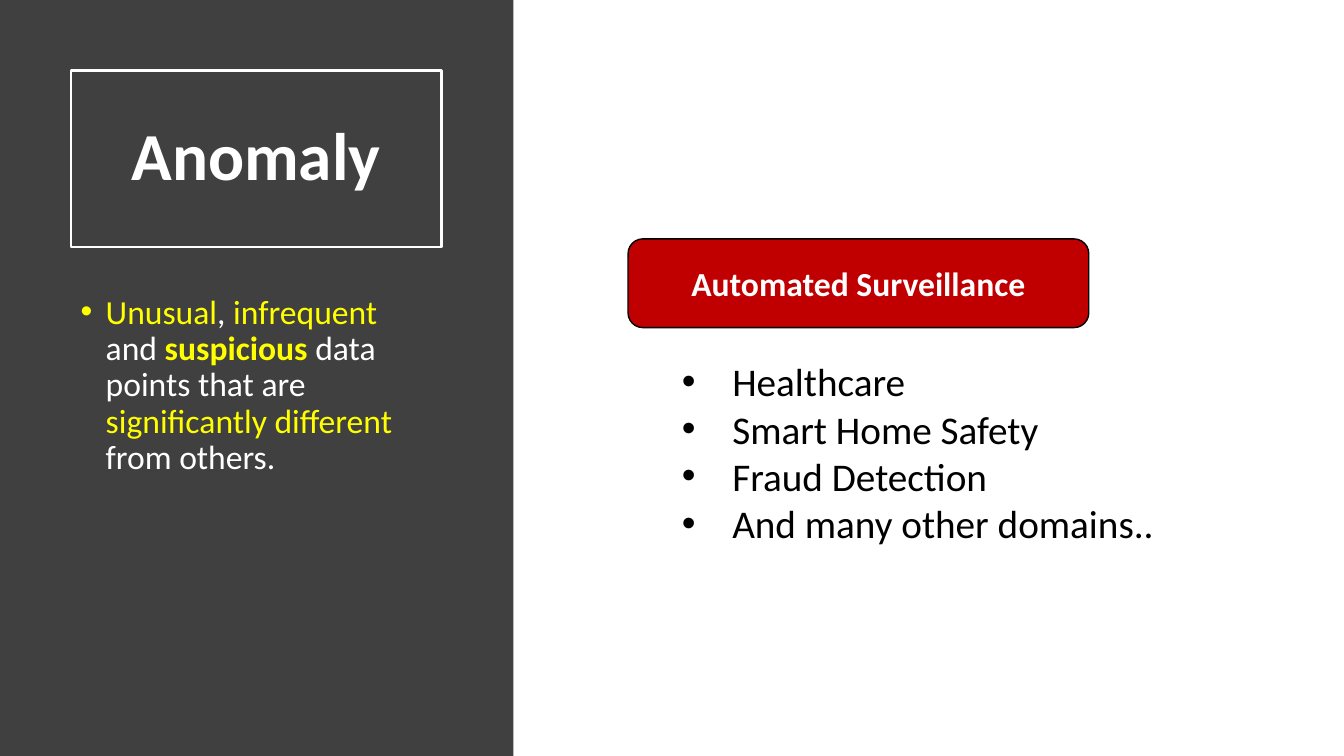
import pptx
import pptx.dml.color
import pptx.enum.shapes
import pptx.enum.text
import pptx.oxml.ns
import pptx.util
from lxml import etree

COLOURS = {"panel": "404040", "white": "FFFFFF", "yellow": "FFFF00",
           "red": "C00000", "black": "000000"}
ALIGN = pptx.enum.text.PP_ALIGN
ANCHOR = pptx.enum.text.MSO_ANCHOR
SHAPES = pptx.enum.shapes.MSO_SHAPE


def apply_format(target, values):
    """Set every attribute named in a dict of format values."""
    for name, value in values.items():
        setattr(target, name, value)


def colour(name):
    """Return a palette colour."""
    return pptx.dml.color.RGBColor.from_string(COLOURS[name])


class SlideBuilder:
    """Style and current slide, on a grid of 100 columns by 100 rows."""

    font_name = "Calibri"

    def __init__(self, presentation):
        """Add a title-only slide and measure its grid."""
        self.column = presentation.slide_width / 100
        self.row = presentation.slide_height / 100
        self.slide = presentation.slides.add_slide(presentation.slide_layouts[5])

    def box(self, left, top, width, height):
        """Convert grid columns and rows to lengths."""
        return (round(left * self.column), round(top * self.row),
                round(width * self.column), round(height * self.row))

    def outline(self, shape, line, width):
        """Draw the outline of a shape, or none."""
        if line:
            shape.line.color.rgb = colour(line)
            shape.line.width = pptx.util.Pt(width)
        else:
            shape.line.fill.background()

    def fill_text(self, shape, paragraphs, size, anchor, bold=False, indent=0, **layout):
        """Set paragraphs of (text, colour, bold) runs, bulleted if indented."""
        frame = shape.text_frame
        apply_format(frame, {"word_wrap": True, "vertical_anchor": anchor,
                             "auto_size": pptx.enum.text.MSO_AUTO_SIZE.NONE})
        for index, runs in enumerate(paragraphs):
            paragraph = frame.add_paragraph() if index else frame.paragraphs[0]
            apply_format(paragraph, layout)
            if indent:
                self.bullet(paragraph, indent)
            for text, tint, *strong in runs:
                run = paragraph.add_run()
                run.text = text
                apply_format(run.font, {"name": self.font_name, "bold": bold or bool(strong),
                                        "size": pptx.util.Pt(size)})
                run.font.color.rgb = colour(tint)

    def bullet(self, paragraph, indent):
        """Give a paragraph a hanging bullet."""
        properties = paragraph._p.get_or_add_pPr()
        length = pptx.util.Inches(indent)
        properties.set("marL", str(length))
        properties.set("indent", str(-length))
        for tag, key, value in (("a:buFont", "typeface", "Arial"),
                                ("a:buChar", "char", "\u2022")):
            etree.SubElement(properties, pptx.oxml.ns.qn(tag)).set(key, value)

    def title(self, text, box, size, tint):
        """Place the title in an outlined box."""
        shape = self.slide.shapes.title
        apply_format(shape, dict(zip(("left", "top", "width", "height"), self.box(*box))))
        self.outline(shape, tint, 1.5)
        self.fill_text(shape, [[(text, tint)]], size, ANCHOR.MIDDLE, bold=True,
                       alignment=ALIGN.CENTER, line_spacing=0.9)

    def shape(self, kind, box, fill, line=None):
        """Add a filled preset shape."""
        shape = self.slide.shapes.add_shape(kind, *self.box(*box))
        shape.shadow.inherit = False
        shape.fill.solid()
        shape.fill.fore_color.rgb = colour(fill)
        self.outline(shape, line, 1)
        return shape

    def panel(self, box, fill):
        """Add a plain rectangle behind the title."""
        panel = self.shape(SHAPES.RECTANGLE, box, fill)
        self.slide.shapes.title.element.addprevious(panel.element)

    def label(self, text, box, size, fill, line, tint):
        """Add a rounded box with centred bold text."""
        label = self.shape(SHAPES.ROUNDED_RECTANGLE, box, fill, line)
        self.fill_text(label, [[(text, tint)]], size, ANCHOR.MIDDLE, bold=True,
                       alignment=ALIGN.CENTER)

    def bullets(self, paragraphs, box, size, indent, **layout):
        """Add a bulleted text box."""
        text_box = self.slide.shapes.add_textbox(*self.box(*box))
        self.fill_text(text_box, paragraphs, size, ANCHOR.TOP, indent=indent, **layout)


def main():
    """Build and save the slide."""
    presentation = pptx.Presentation()
    apply_format(presentation, {"slide_width": pptx.util.Inches(13.33),
                                "slide_height": pptx.util.Inches(7.5)})
    builder = SlideBuilder(presentation)
    margin, text_width = 5.25, 27.6

    builder.panel((0, 0, 38.2, 100), "panel")
    builder.title("Anomaly", (margin, 9.33, text_width, 23.33), 48, "white")
    definition = [("Unusual", "yellow"), (", ", "white"), ("infrequent", "yellow"),
                  (" and ", "white"), ("suspicious", "yellow", True),
                  (" data points that are ", "white"),
                  ("significantly different", "yellow"), (" from others.", "white")]
    builder.bullets([definition], (margin, 38.4, text_width, 49.87), 24, 0.25,
                    line_spacing=0.9, space_before=pptx.util.Pt(10))

    domains = ["Healthcare", "Smart Home Safety", "Fraud Detection",
               "And many other domains.."]
    builder.bullets([[(domain, "black")] for domain in domains],
                    (50, 46.67, 46.2, 26.5), 28, 0.5)
    builder.label("Automated Surveillance", (46.73, 31.6, 34.28, 11.73), 24,
                  "red", "black", "white")
    presentation.save("out.pptx")


main()
